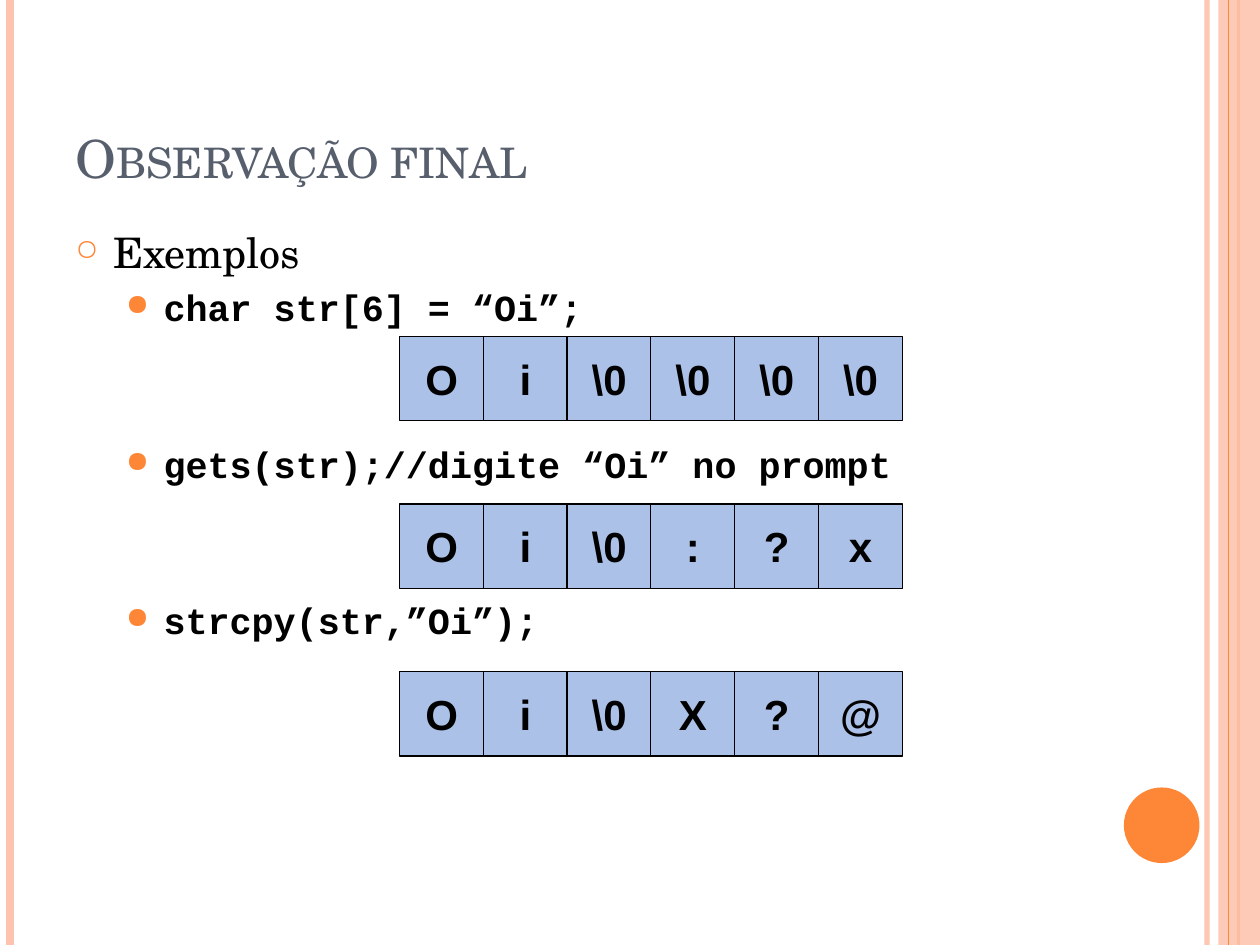
from dataclasses import dataclass

from lxml.etree import SubElement
from pptx import Presentation
from pptx.dml.color import RGBColor
from pptx.enum.shapes import MSO_CONNECTOR, MSO_SHAPE
from pptx.enum.text import MSO_ANCHOR, PP_ALIGN
from pptx.oxml.ns import qn
from pptx.util import Inches, Pt

COLORS = {
    "peach": "FEC3AE",
    "orange": "FE8637",
    "slate": "575F6D",
    "cell": "ACC1E8",
    "black": "000000",
}
SERIF, MONO, SANS = "TeX Gyre Schola", "Courier New", "Arial"
SLIDE_HEIGHT = 7.5
CELL_SIZE, CELL_PITCH = 0.67, 0.665
ARRAY_LEFT, ARRAY_TOP, ARRAY_PITCH = 3.17, 2.67, 1.33


@dataclass
class Stripe:
    x: float
    color: str
    width: float
    opacity: int = 100


@dataclass
class Bullet:
    text: str
    font: str
    size: float
    bold: bool
    indent: float
    space_before: float
    mark: str
    mark_percent: int


LEFT_STRIPES = [
    Stripe(9.58, "peach", 3, 93),
    Stripe(0.08, "peach", 4.5),
    Stripe(9.83, "orange", 1.5),
]
INNER_STRIPE = Stripe(9.75, "orange", 0.75)

BULLETS = [
    Bullet("Exemplos", SERIF, 24, False, 0.3, 6, "○", 70),
    Bullet("char str[6] = “Oi”;", MONO, 21, True, 0.7, 4.5, "●", 80),
    Bullet("gets(str);//digite “Oi” no prompt", MONO, 21, True, 0.7, 64.2, "●", 80),
    Bullet("strcpy(str,”Oi”);", MONO, 21, True, 0.7, 64.2, "●", 80),
]

ARRAYS = [
    ["O", "i", r"\0", r"\0", r"\0", r"\0"],
    ["O", "i", r"\0", ":", "?", "x"],
    ["O", "i", r"\0", "X", "?", "@"],
]


def rgb(name: str) -> RGBColor:
    return RGBColor.from_string(COLORS[name])


def set_opacity(properties, percent: int) -> None:
    """Add transparency to the first colour found in the shape properties."""
    color = next(properties.iter(qn("a:srgbClr")))
    SubElement(color, qn("a:alpha"), val=str(percent * 1000))


def set_font(paragraph, name: str, size: float, color: str, bold: bool = False) -> None:
    font = paragraph.font
    font.name, font.size, font.bold = name, Pt(size), bold
    font.color.rgb = rgb(color)


def add_stripe(slide, stripe: Stripe) -> None:
    x = Inches(stripe.x)
    line = slide.shapes.add_connector(
        MSO_CONNECTOR.STRAIGHT, x, 0, x, Inches(SLIDE_HEIGHT)
    )
    line.line.color.rgb = rgb(stripe.color)
    line.line.width = Pt(stripe.width)
    properties = line._element.spPr
    if stripe.opacity < 100:
        set_opacity(properties, stripe.opacity)
    SubElement(properties, qn("a:effectLst"))


def add_filled(shapes, kind, left: float, top: float, width: float, height: float,
               color: str):
    shape = shapes.add_shape(
        kind, Inches(left), Inches(top), Inches(width), Inches(height)
    )
    shape.shadow.inherit = False
    shape.fill.solid()
    shape.fill.fore_color.rgb = rgb(color)
    shape.line.fill.background()
    return shape


def add_frame(slide):
    for stripe in LEFT_STRIPES:
        add_stripe(slide, stripe)
    band = add_filled(
        slide.shapes, MSO_SHAPE.RECTANGLE, 9.67, 0, 0.33, SLIDE_HEIGHT, "peach"
    )
    set_opacity(band._element.spPr, 87)
    add_stripe(slide, INNER_STRIPE)
    add_filled(slide.shapes, MSO_SHAPE.OVAL, 8.92, 6.25, 0.6, 0.6, "orange")


def add_text_frame(slide, top: float, height: float):
    frame = slide.shapes.add_textbox(
        Inches(0.5), Inches(top), Inches(8.17), Inches(height)
    ).text_frame
    frame.word_wrap = True
    return frame


def add_title(slide, text: str) -> None:
    frame = add_text_frame(slide, 0.3, 1.25)
    frame.vertical_anchor = MSO_ANCHOR.BOTTOM
    title = frame.paragraphs[0]
    run = title.add_run()
    run.text = text
    set_font(title, SERIF, 30, "slate")
    run._r.get_or_add_rPr().set("cap", "small")


def format_bullet(paragraph, bullet: Bullet) -> None:
    paragraph.text = bullet.text
    paragraph.space_before = Pt(bullet.space_before)
    properties = paragraph._p.get_or_add_pPr()
    properties.set("marL", str(Inches(bullet.indent)))
    properties.set("indent", str(Inches(-0.3)))
    mark_color = SubElement(properties, qn("a:buClr"))
    SubElement(mark_color, qn("a:srgbClr"), val=COLORS["orange"])
    SubElement(properties, qn("a:buSzPct"), val=str(bullet.mark_percent * 1000))
    SubElement(properties, qn("a:buChar"), char=bullet.mark)
    set_font(paragraph, bullet.font, bullet.size, "black", bullet.bold)


def add_bullets(slide, bullets: list[Bullet]) -> None:
    frame = add_text_frame(slide, 1.75, 5.33)
    for index, bullet in enumerate(bullets):
        paragraph = frame.add_paragraph() if index else frame.paragraphs[0]
        format_bullet(paragraph, bullet)


def add_array(slide, top: float, characters: list[str]) -> None:
    """Draw a character array as a group of adjoining squares."""
    group = slide.shapes.add_group_shape()
    for column, character in enumerate(characters):
        cell = add_filled(
            group.shapes, MSO_SHAPE.RECTANGLE, ARRAY_LEFT + column * CELL_PITCH, top,
            CELL_SIZE, CELL_SIZE, "cell",
        )
        cell.line.color.rgb = rgb("black")
        cell.line.width = Pt(0.75)
        frame = cell.text_frame
        frame.margin_left = frame.margin_right = 0
        frame.vertical_anchor = MSO_ANCHOR.MIDDLE
        label = frame.paragraphs[0]
        label.text = character
        label.alignment = PP_ALIGN.CENTER
        set_font(label, SANS, 24, "black", bold=True)


def main() -> None:
    presentation = Presentation()
    presentation.slide_width = Inches(10)
    presentation.slide_height = Inches(SLIDE_HEIGHT)
    slide = presentation.slides.add_slide(presentation.slide_layouts[6])
    add_frame(slide)
    add_title(slide, "Observação final")
    add_bullets(slide, BULLETS)
    for row, characters in enumerate(ARRAYS):
        add_array(slide, ARRAY_TOP + row * ARRAY_PITCH, characters)
    presentation.save("out.pptx")


if __name__ == "__main__":
    main()
